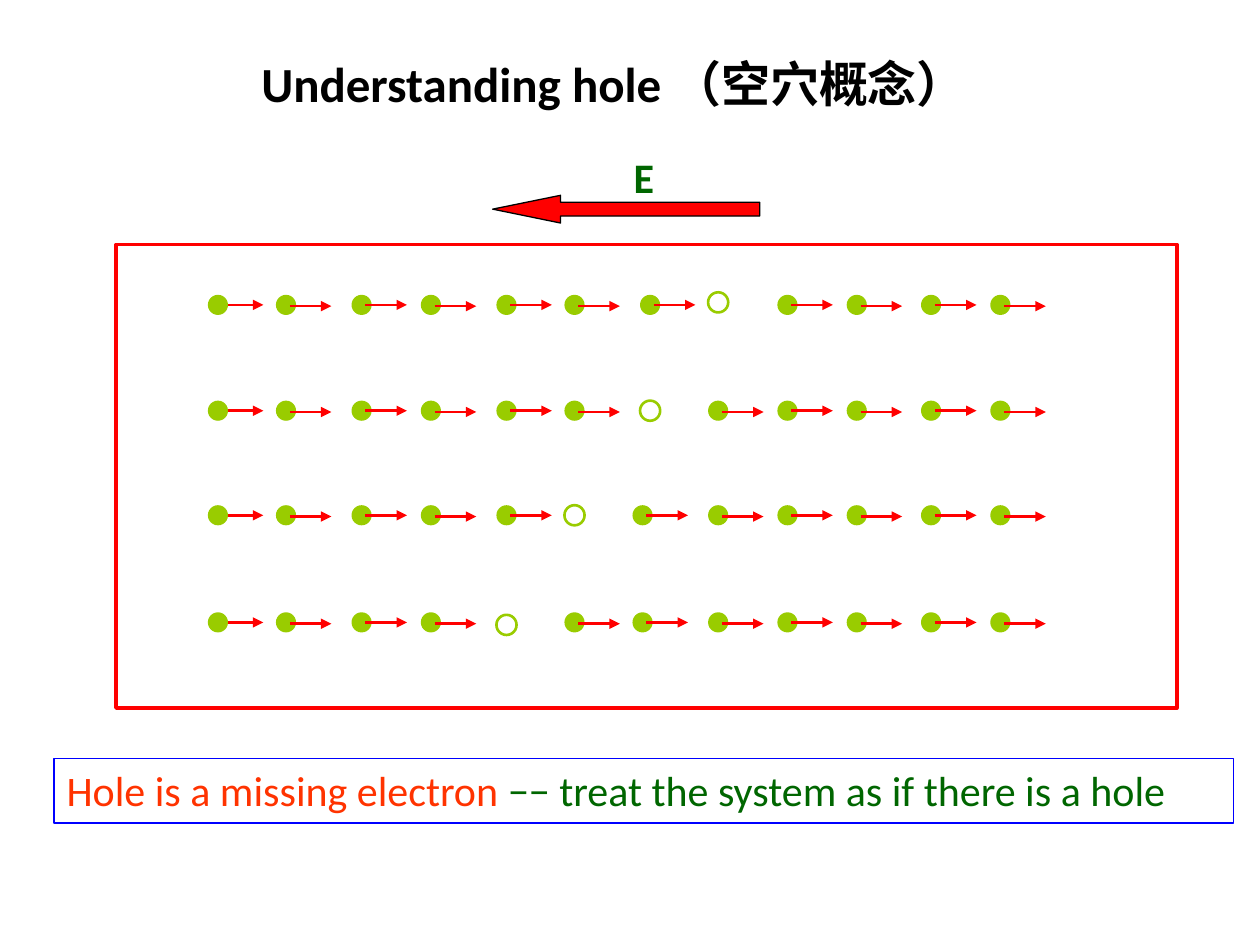
from pptx import Presentation
from pptx.dml.color import RGBColor
from pptx.enum.shapes import MSO_CONNECTOR, MSO_SHAPE
from pptx.enum.text import MSO_ANCHOR, PP_ALIGN
from pptx.oxml.ns import qn
from pptx.util import Inches, Pt
from lxml.etree import SubElement

COLORS = {
    "white": "FFFFFF", "black": "000000", "red": "FF0000", "lime": "99CC00",
    "green": "006600", "orange": "FF3300", "blue": "0000FF",
}


def color(name):
    return RGBColor.from_string(COLORS[name])


def write(shape, *runs, size=24, bold=False, align=PP_ALIGN.LEFT, space=None):
    """Fill a shape with one paragraph of (text, colour) runs."""
    frame = shape.text_frame
    frame.word_wrap = True
    frame.vertical_anchor = MSO_ANCHOR.TOP
    para = frame.paragraphs[0]
    para.alignment = align
    para.line_spacing = space
    for text, hue in runs:
        run = para.add_run()
        run.text = text
        run.font.name = "Calibri"
        run.font.size = Pt(size)
        run.font.bold = bold
        run.font.color.rgb = color(hue)


class Board:
    dot_size = 0.16
    arrow_len = 0.33

    def __init__(self, slide):
        self.slide = slide

    def group(self):
        return self.slide.shapes.add_group_shape().shapes

    def shape(self, kind, box, fill=None, line=None, width=1.5, into=None):
        shapes = into or self.slide.shapes
        item = shapes.add_shape(kind, *map(Inches, box))
        item.shadow.inherit = False
        if fill:
            item.fill.solid()
            item.fill.fore_color.rgb = color(fill)
        else:
            item.fill.background()
        if line:
            item.line.color.rgb = color(line)
            item.line.width = Pt(width)
        else:
            item.line.fill.background()
        return item

    def label(self, box, *runs, into=None, **style):
        shapes = into or self.slide.shapes
        write(shapes.add_textbox(*map(Inches, box)), *runs, **style)

    def dot(self, left, top, into, **look):
        box = (left, top, self.dot_size, self.dot_size)
        self.shape(MSO_SHAPE.OVAL, box, into=into, **look)

    def arrow(self, left, top, into):
        ends = (left, top, left + self.arrow_len, top)
        item = into.add_connector(MSO_CONNECTOR.STRAIGHT, *map(Inches, ends))
        item.line.color.rgb = color("red")
        item.line.width = Pt(1.5)
        SubElement(item.line._get_or_add_ln(), qn("a:tailEnd"), type="triangle")
        SubElement(item._element.spPr, qn("a:effectLst"))

    def row(self, top, lefts, hole, drop):
        """Draw electrons with their arrows, and one hole without."""
        group = self.group()
        for col, left in enumerate(lefts):
            if col == hole:
                self.dot(left, top + drop, group, line="lime")
            else:
                self.dot(left, top, group, fill="lime")
                self.arrow(left + 0.11, top + 0.08 + 0.01 * (col % 2), group)


def main():
    deck = Presentation()
    deck.slide_width, deck.slide_height = Inches(10), Inches(7.5)
    board = Board(deck.slides.add_slide(deck.slide_layouts[6]))

    # Title
    board.label((0.85, 0.28, 8.04, 0.63),
                ("Understanding hole （空穴概念）", "black"),
                size=28, bold=True, align=PP_ALIGN.CENTER, space=1.2)

    # Crystal frame
    board.shape(MSO_SHAPE.RECTANGLE, (0.92, 1.94, 8.42, 3.68),
                fill="white", line="red", width=2)

    # Electric field
    field = board.group()
    arrow = board.shape(MSO_SHAPE.LEFT_ARROW, (3.91, 1.55, 2.12, 0.22),
                        fill="red", line="black", width=0.75, into=field)
    arrow.adjustments[0] = 0.5
    arrow.adjustments[1] = 2.45
    board.label((4.93, 1.15, 0.49, 0.5), ("E", "green"), into=field, bold=True)

    # Electron rows: the hole moves one place left in each
    start = [1.65, 2.19, 2.79, 3.34, 3.94, 4.48]
    end = [5.62, 6.17, 6.72, 7.31, 7.86]
    rows = [(2.34, 5.08, -0.02), (3.18, 5.08, 0), (4.01, 5.02, 0),
            (4.86, 5.02, 0.02)]
    for step, (top, mid, drop) in enumerate(rows):
        board.row(top, start + [mid] + end, hole=7 - step, drop=drop)

    # Conclusion
    note = board.shape(MSO_SHAPE.RECTANGLE, (0.43, 6.02, 9.36, 0.51),
                       line="blue", width=1)
    write(note, ("Hole is a missing electron ", "orange"),
          ("−− treat the system as if there is a hole", "green"))

    deck.save("out.pptx")


if __name__ == "__main__":
    main()
